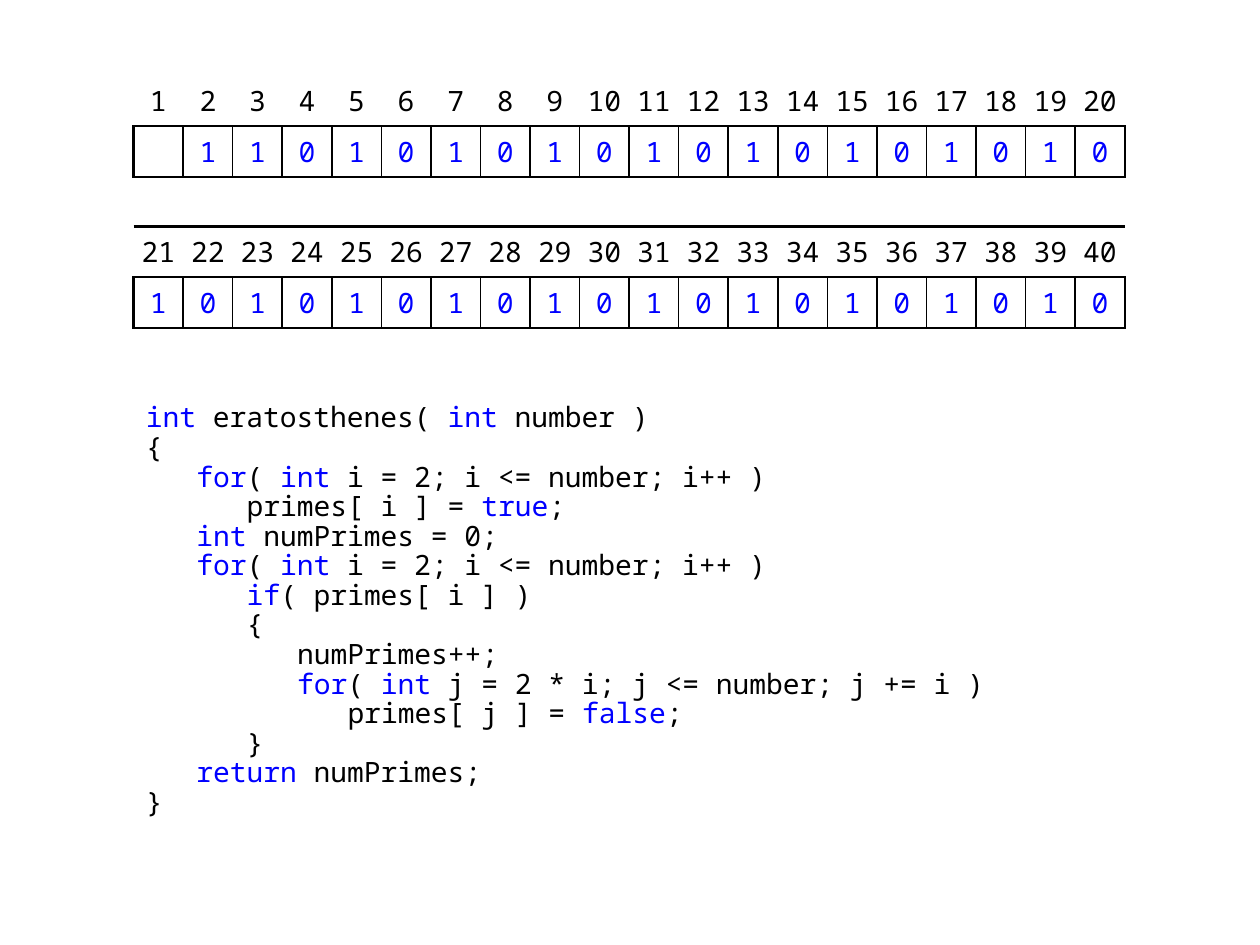
from lxml.etree import SubElement
from pptx import Presentation
from pptx.dml.color import RGBColor
from pptx.enum.text import MSO_ANCHOR, PP_ALIGN
from pptx.oxml.ns import qn
from pptx.util import Inches, Pt

FONT, SIZE = "Noto Sans Mono", 16
BLACK, BLUE = "000000", "0000FF"
PLAIN = "{2D5ABB26-0587-4C30-8999-92F81FD0307C}"
COLS = 20
CODE = """~int~ eratosthenes( ~int~ number )
{
   ~for~( ~int~ i = 2; i <= number; i++ )
      primes[ i ] = ~true~;
   ~int~ numPrimes = 0;
   ~for~( ~int~ i = 2; i <= number; i++ )
      ~if~( primes[ i ] )
      {
         numPrimes++;
         ~for~( ~int~ j = 2 * i; j <= number; j += i )
            primes[ j ] = ~false~;
      }
   ~return~ numPrimes;
}"""


def color(code):
    return RGBColor.from_string(code)


class Page:
    def __init__(self, deck):
        self.wide, self.high = deck.slide_width, deck.slide_height
        self.slide = deck.slides.add_slide(deck.slide_layouts[6])

    def place(self, x, y, w, h):
        return (int(self.wide * x), int(self.high * y),
                int(self.wide * w), int(self.high * h))

    def style(self, run, tint):
        run.font.name, run.font.size = FONT, Pt(SIZE)
        run.font.color.rgb = color(tint)

    def border(self, cell, sides):
        props = cell._tc.get_or_add_tcPr()
        for side, width in sides.items():
            line = SubElement(props, qn("a:ln" + side), w=str(Pt(width)))
            fill = SubElement(line, qn("a:solidFill"))
            SubElement(fill, qn("a:srgbClr"), val=BLACK)

    def cell(self, cell, text, tint, sides):
        self.border(cell, sides)
        cell.fill.background()
        cell.margin_left = cell.margin_right = 0
        cell.vertical_anchor = MSO_ANCHOR.MIDDLE
        if not text:
            cell.margin_top = cell.margin_bottom = 0
            return
        cell.text_frame.text = text
        para = cell.text_frame.paragraphs[0]
        para.alignment = PP_ALIGN.CENTER
        self.style(para.runs[0], tint)

    def table(self, rows, box):
        frame = self.slide.shapes.add_table(len(rows), COLS, *self.place(*box))
        table = frame.table
        table.first_row = table.horz_banding = False
        table._tbl.tblPr.find(qn("a:tableStyleId")).text = PLAIN
        for r, (texts, tint, boxed) in enumerate(rows):
            for c, text in enumerate(texts):
                sides = {}
                if boxed:
                    sides = {"L": 1.5 if c == 0 else 1,
                             "R": 1.5 if c == COLS - 1 else 1,
                             "T": 1.5, "B": 1.5}
                elif r + 1 < len(rows) and rows[r + 1][2]:
                    sides = {"B": 1.5}
                elif r and rows[r - 1][2]:
                    sides = {"T": 1.5}
                self.cell(table.cell(r, c), text, tint, sides)

    def code(self, text, box):
        frame = self.slide.shapes.add_textbox(*self.place(*box)).text_frame
        frame.word_wrap = True
        frame.text = "\n".join(line.strip() for line in text.splitlines())
        for para, line in zip(frame.paragraphs, text.splitlines()):
            para.line_spacing = 0.88
            depth = (len(line) - len(line.lstrip())) // 3
            para._p.get_or_add_pPr().set("marL", str(Inches(0.4 * depth)))
            para.text = ""
            for n, part in enumerate(line.strip().split("~")):
                if part:
                    run = para.add_run()
                    run.text = part
                    self.style(run, BLUE if n % 2 else BLACK)


def labels(start):
    return [str(n) for n in range(start, start + COLS)], BLACK, False


def flags(start):
    span = range(start, start + COLS)
    return [str(int(n == 2 or n % 2)) if n > 1 else "" for n in span], BLUE, True


deck = Presentation()
deck.slide_width, deck.slide_height = Inches(10), Inches(7.5)
page = Page(deck)
gap = [""] * COLS, BLACK, False
page.table([labels(1), flags(1), gap, labels(21), flags(21)],
           (0.106, 0.08, 0.787, 0.2627))
page.code(CODE, (0.106, 0.4213, 0.788, 0.4987))
deck.save("out.pptx")
